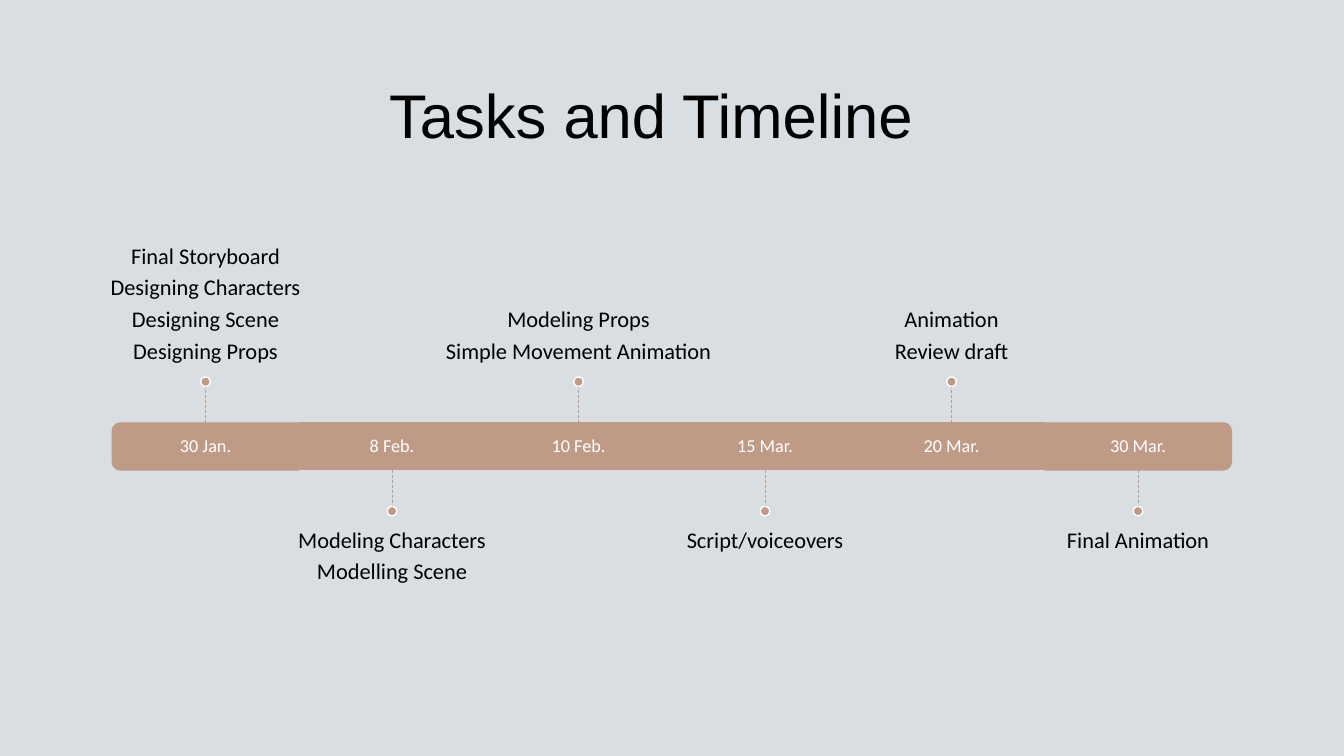
"""Build a slide with a six-step task timeline."""
from dataclasses import dataclass

from lxml import etree
from pptx import Presentation
from pptx.dml.color import RGBColor
from pptx.enum.dml import MSO_LINE
from pptx.enum.shapes import MSO_CONNECTOR, MSO_SHAPE
from pptx.enum.text import MSO_ANCHOR, PP_ALIGN
from pptx.oxml.ns import qn
from pptx.shapes.autoshape import Shape
from pptx.slide import Slide
from pptx.text.text import TextFrame
from pptx.util import Cm, Pt

RECTANGLE = MSO_SHAPE.RECTANGLE
ROUND_END = MSO_SHAPE.ROUND_2_SAME_RECTANGLE
OVAL = MSO_SHAPE.OVAL
STRAIGHT = MSO_CONNECTOR.STRAIGHT
DASH = MSO_LINE.DASH
TOP, MIDDLE, BOTTOM = MSO_ANCHOR.TOP, MSO_ANCHOR.MIDDLE, MSO_ANCHOR.BOTTOM
CENTER = PP_ALIGN.CENTER


@dataclass(frozen=True)
class Theme:
    background: RGBColor = RGBColor(0xD8, 0xDE, 0xE1)
    accent: RGBColor = RGBColor(0xBE, 0x9A, 0x87)
    dark: RGBColor = RGBColor(0, 0, 0)
    light: RGBColor = RGBColor(0xFF, 0xFF, 0xFF)
    title_font: str = "Arial"
    text_font: str = "Calibri"
    title_size: float = 44
    task_size: float = 16
    date_size: float = 13


@dataclass(frozen=True)
class Milestone:
    date: str
    tasks: tuple[str, ...]


THEME = Theme()
MILESTONES = (
    Milestone("30 Jan.", ("Final Storyboard", "Designing Characters",
                          "Designing Scene", "Designing Props")),
    Milestone("8 Feb.", ("Modeling Characters", "Modelling Scene")),
    Milestone("10 Feb.", ("Modeling Props", "Simple Movement Animation")),
    Milestone("15 Mar.", ("Script/voiceovers",)),
    Milestone("20 Mar.", ("Animation", "Review draft")),
    Milestone("30 Mar.", ("Final Animation",)),
)

BAR_LEFT, BAR_TOP = 2.83, 10.66
SEGMENT_WIDTH, BAR_HEIGHT = 4.7, 1.18
STEM, DOT = 0.92, 0.24
LABEL_WIDTH, LABEL_HEIGHT, LABEL_GAP = 7.82, 4.09, 0.33


def write(frame: TextFrame, lines: tuple[str, ...], *, size: float,
          color: RGBColor, font: str = THEME.text_font,
          anchor: MSO_ANCHOR = MIDDLE, line_spacing: float = 0.9,
          space_after: float = 0.33) -> None:
    frame.word_wrap = True
    frame.vertical_anchor = anchor
    for index, line in enumerate(lines):
        para = frame.add_paragraph() if index else frame.paragraphs[0]
        para.alignment = CENTER
        para.line_spacing = line_spacing
        para.space_before = Pt(0)
        para.space_after = Pt(round(size * space_after, 1))
        span = para.add_run()
        span.text = line
        span.font.name = font
        span.font.size = Pt(size)
        span.font.color.rgb = color


def add_box(page: Slide, left: float, top: float, width: float, height: float,
            *, margin_top: float = 0, margin_bottom: float = 0) -> TextFrame:
    box = page.shapes.add_textbox(Cm(left), Cm(top), Cm(width), Cm(height))
    frame = box.text_frame
    frame.margin_left = frame.margin_right = 0
    frame.margin_top, frame.margin_bottom = Cm(margin_top), Cm(margin_bottom)
    return frame


def add_filled(page: Slide, kind: MSO_SHAPE, center_x: float, center_y: float,
               width: float, height: float, line: RGBColor) -> Shape:
    shape = page.shapes.add_shape(kind, Cm(center_x - width / 2),
                                  Cm(center_y - height / 2), Cm(width), Cm(height))
    shape.shadow.inherit = False
    shape.fill.solid()
    shape.fill.fore_color.rgb = THEME.accent
    shape.line.color.rgb = line
    shape.line.width = Pt(1)
    return shape


def add_segment(page: Slide, index: int, center_x: float) -> None:
    center_y = BAR_TOP + BAR_HEIGHT / 2
    rotation = {0: 270, len(MILESTONES) - 1: 90}.get(index)
    if rotation is None:
        add_filled(page, RECTANGLE, center_x, center_y, SEGMENT_WIDTH,
                   BAR_HEIGHT, THEME.accent)
    else:
        end = add_filled(page, ROUND_END, center_x, center_y, BAR_HEIGHT,
                         SEGMENT_WIDTH, THEME.accent)
        end.rotation = rotation


def add_stem(page: Slide, x: float, start: float, end: float) -> None:
    stem = page.shapes.add_connector(STRAIGHT, Cm(x), Cm(start), Cm(x), Cm(end))
    stem.line.color.rgb = THEME.accent
    stem.line.width = Pt(0.5)
    stem.line.dash_style = DASH
    etree.SubElement(stem.line._get_or_add_ln().getparent(), qn("a:effectLst"))


def add_milestone(page: Slide, index: int, milestone: Milestone) -> None:
    left = BAR_LEFT + index * SEGMENT_WIDTH
    center_x = left + SEGMENT_WIDTH / 2
    above = index % 2 == 0
    direction = -1 if above else 1
    edge = BAR_TOP if above else BAR_TOP + BAR_HEIGHT
    stem_end = edge + direction * STEM
    label_edge = stem_end + direction * DOT

    add_segment(page, index, center_x)
    date = add_box(page, left, BAR_TOP, SEGMENT_WIDTH, BAR_HEIGHT)
    write(date, (milestone.date,), size=THEME.date_size, color=THEME.light)
    label = add_box(page, center_x - LABEL_WIDTH / 2,
                    label_edge - LABEL_HEIGHT if above else label_edge,
                    LABEL_WIDTH, LABEL_HEIGHT,
                    margin_top=0 if above else LABEL_GAP,
                    margin_bottom=LABEL_GAP if above else 0)
    write(label, milestone.tasks, size=THEME.task_size, color=THEME.dark,
          anchor=BOTTOM if above else TOP)
    add_stem(page, center_x, edge, stem_end)
    add_filled(page, OVAL, center_x, stem_end + direction * DOT / 2, DOT, DOT,
               THEME.light)


def main() -> None:
    deck = Presentation()
    deck.slide_width, deck.slide_height = Cm(33.87), Cm(19.05)
    page = deck.slides.add_slide(deck.slide_layouts[5])
    page.background.fill.solid()
    page.background.fill.fore_color.rgb = THEME.background

    title = page.shapes.title
    title.left, title.top = Cm(1.27), Cm(1.02)
    title.width, title.height = Cm(30.28), Cm(3.68)
    write(title.text_frame, ("Tasks and Timeline",), size=THEME.title_size,
          color=THEME.dark, font=THEME.title_font, line_spacing=1.0,
          space_after=0)

    for index, milestone in enumerate(MILESTONES):
        add_milestone(page, index, milestone)
    deck.save("out.pptx")


if __name__ == "__main__":
    main()
